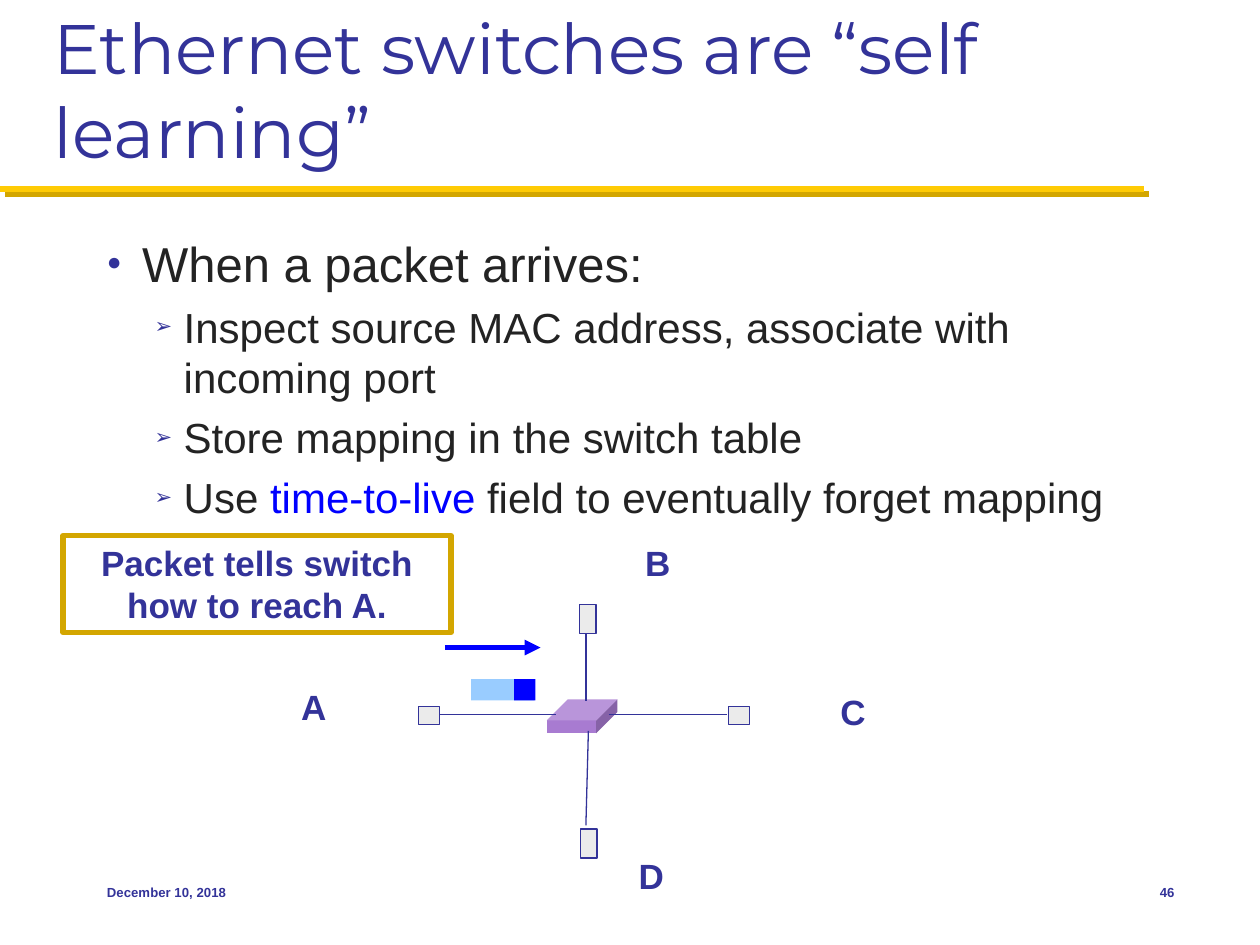
import pptx
import pptx.dml.color
import pptx.enum.shapes
import pptx.enum.text
import pptx.oxml.ns
import pptx.util
from dataclasses import dataclass
from lxml import etree

Inches = pptx.util.Inches
Pt = pptx.util.Pt
ALIGN = pptx.enum.text.PP_ALIGN
ANCHOR = pptx.enum.text.MSO_ANCHOR
SHAPE = pptx.enum.shapes.MSO_SHAPE


@dataclass(frozen=True)
class Theme:
    navy: str = "333399"
    ink: str = "232323"
    blue: str = "0000FF"
    pale_blue: str = "99CCFF"
    yellow: str = "FFCB05"
    gold: str = "D3A600"
    purple: str = "A87BD1"
    grey: str = "EBEBEB"
    heading_font: str = "Montserrat"
    body_font: str = "Arial"
    heading: float = 40
    bullet: float = 28
    sub_bullet: float = 24
    label: float = 20
    footer: float = 7.5
    hairline: float = 0.75
    thick: float = 3
    rule: float = 3.5


THEME = Theme()


def rgb(color):
    return pptx.dml.color.RGBColor.from_string(color)


def add_xml(parent, tag, **attributes):
    return etree.SubElement(parent, pptx.oxml.ns.qn(tag), attributes)


def style_run(run, size, color=THEME.navy, bold=False, font=THEME.body_font):
    run.font.size = Pt(size)
    run.font.name = font
    run.font.bold = bold
    run.font.color.rgb = rgb(color)


def add_text(slide, box, text, size, bold=True, font=THEME.body_font,
             align=ALIGN.LEFT, anchor=ANCHOR.TOP, wrap=True):
    frame = slide.shapes.add_textbox(*map(Inches, box)).text_frame
    frame.word_wrap = wrap
    frame.vertical_anchor = anchor
    frame.text = text
    frame.paragraphs[0].alignment = align
    style_run(frame.paragraphs[0].runs[0], size, bold=bold, font=font)
    return frame


def add_block(slide, box, fill=None, outline=None, width=THEME.hairline, kind=SHAPE.RECTANGLE):
    block = slide.shapes.add_shape(kind, *map(Inches, box))
    block.shadow.inherit = False
    if fill:
        block.fill.solid()
        block.fill.fore_color.rgb = rgb(fill)
    else:
        block.fill.background()
    if outline:
        block.line.color.rgb = rgb(outline)
        block.line.width = Pt(width)
    else:
        block.line.fill.background()
    return block


def add_line(slide, start, end, color=THEME.navy, width=THEME.hairline, arrow=False):
    line = slide.shapes.add_connector(
        pptx.enum.shapes.MSO_CONNECTOR.STRAIGHT, *map(Inches, start + end))
    line.line.color.rgb = rgb(color)
    line.line.width = Pt(width)
    properties = line._element.spPr
    if arrow:
        add_xml(properties.find(pptx.oxml.ns.qn("a:ln")), "a:tailEnd", type="triangle")
    add_xml(properties, "a:effectLst")


def add_heading(slide, left, top, width, height):
    add_text(slide, (left, top, width, height), "Ethernet switches are “self learning”",
             THEME.heading, bold=False, font=THEME.heading_font, anchor=ANCHOR.BOTTOM)
    rule_top = top + height + 0.08
    for offset, color in ((0.04, THEME.gold), (0, THEME.yellow)):
        add_line(slide, (offset, rule_top + offset), (9.08 + offset, rule_top + offset),
                 color, THEME.rule)


def add_bullets(slide, left, top, width, height):
    items = [
        (0, ["When a packet arrives:"]),
        (1, ["Inspect source MAC address, associate with incoming port"]),
        (1, ["Store mapping in the switch table"]),
        (1, ["Use ", "time-to-live", " field to eventually forget mapping"]),
    ]
    levels = [("●", 0.28, 0.28, THEME.bullet), ("➢", 0.61, 0.23, THEME.sub_bullet)]
    frame = slide.shapes.add_textbox(*map(Inches, (left, top, width, height))).text_frame
    frame.word_wrap = True
    for index, (level, parts) in enumerate(items):
        mark, margin, hanging, size = levels[level]
        paragraph = frame.add_paragraph() if index else frame.paragraphs[0]
        paragraph.level = level
        if index:
            paragraph.space_before = Pt(5.5)
        properties = paragraph._p.get_or_add_pPr()
        properties.set("marL", str(Inches(margin)))
        properties.set("indent", str(-Inches(hanging)))
        add_xml(add_xml(properties, "a:buClr"), "a:srgbClr", val=THEME.navy)
        add_xml(properties, "a:buSzPct", val="50000")
        add_xml(properties, "a:buFont", typeface=THEME.body_font)
        add_xml(properties, "a:buChar", char=mark)
        for part in parts:
            run = paragraph.add_run()
            run.text = part
            style_run(run, size, THEME.blue if part == "time-to-live" else THEME.ink)


def add_network(slide, left, top):
    def at(x, y):
        return left + x, top + y

    cables = [((1.2, 1.42), (2.12, 1.42)), ((2.36, 0.78), (2.36, 1.31)),
              ((3.48, 1.42), (2.54, 1.42)), ((2.36, 2.3), (2.38, 1.55))]
    hosts = [("A", (1.03, 1.36), (0.17, 0.14), (0, 1.14)),
             ("B", (2.31, 0.55), (0.13, 0.23), (2.73, 0)),
             ("C", (3.49, 1.36), (0.17, 0.14), (4.28, 1.18)),
             ("D", (2.32, 2.33), (0.13, 0.23), (2.68, 2.48))]
    switch = add_block(slide, at(2.05, 1.3) + (0.56, 0.27), THEME.purple, kind=SHAPE.CUBE)
    switch.adjustments[0] = 0.62
    for start, end in cables:
        add_line(slide, at(*start), at(*end))
    for name, place, size, label in hosts:
        add_block(slide, at(*place) + size, THEME.grey, THEME.navy)
        add_text(slide, at(*label) + (0.4, 0.43), name, THEME.label, align=ALIGN.CENTER)
    add_block(slide, at(1.45, 1.14) + (0.5, 0.17), THEME.pale_blue)
    add_block(slide, at(1.79, 1.14) + (0.17, 0.17), THEME.blue)
    add_line(slide, at(1.24, 0.89), at(2, 0.89), THEME.blue, THEME.thick, arrow=True)


def add_callout(slide, left, top, width, height):
    callout = add_block(slide, (left, top, width, height),
                        outline=THEME.gold, width=THEME.thick)
    frame = callout.text_frame
    frame.word_wrap = True
    frame.vertical_anchor = ANCHOR.TOP
    frame.text = "Packet tells switch how to reach A."
    frame.paragraphs[0].alignment = ALIGN.CENTER
    style_run(frame.paragraphs[0].runs[0], THEME.label, bold=True)


def add_footer(slide, left, top, width, height):
    number_width = 0.67
    add_text(slide, (left, top, 2.08, height), "December 10, 2018", THEME.footer,
             anchor=ANCHOR.MIDDLE)
    add_text(slide, (left + width - number_width, top, number_width, height), "46",
             THEME.footer, align=ALIGN.RIGHT, anchor=ANCHOR.MIDDLE)


def main():
    deck = pptx.Presentation()
    deck.slide_width, deck.slide_height = Inches(10), Inches(7.5)
    slide = deck.slides.add_slide(deck.slide_layouts[6])
    add_heading(slide, 0.33, 0.17, 9.33, 1.25)
    add_bullets(slide, 0.75, 1.8, 8.67, 4.78)
    add_network(slide, 2.29, 4.25)
    add_callout(slide, 0.5, 4.25, 3.08, 0.77)
    add_footer(slide, 0.75, 6.83, 8.67, 0.5)
    deck.save("out.pptx")


if __name__ == "__main__":
    main()
